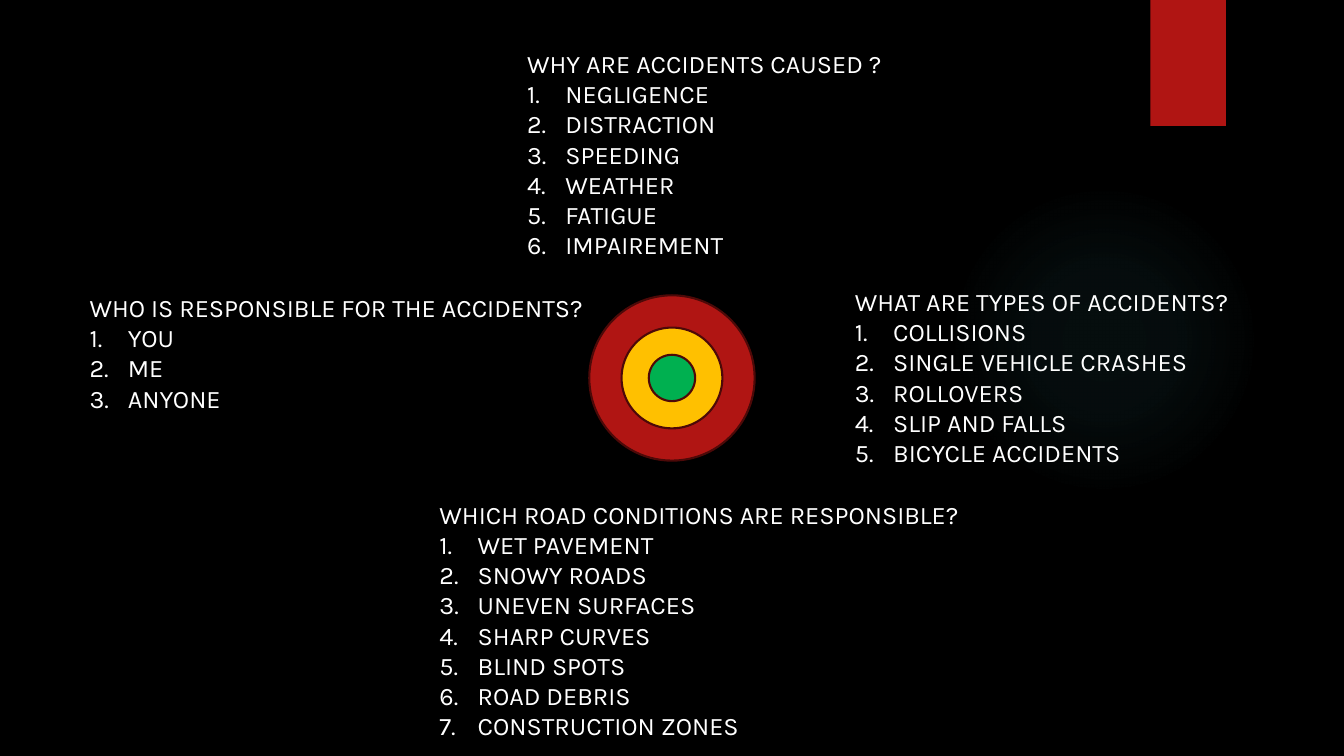
from lxml.etree import SubElement
from pptx import Presentation
from pptx.dml.color import RGBColor
from pptx.enum.shapes import MSO_SHAPE as Preset
from pptx.enum.text import MSO_AUTO_SIZE as AutoSize
from pptx.oxml.ns import qn
from pptx.util import Inches, Pt

WIDTH, HEIGHT = 13.33, 7.5
LINE_HEIGHT = 0.303
INDENT = Inches(0.38)

TOPICS = [
    (5.13, 0.43, 3.87, "WHY ARE ACCIDENTS CAUSED ?",
     ["NEGLIGENCE", "DISTRACTION", "SPEEDING", "WEATHER", "FATIGUE", "IMPAIREMENT"]),
    (8.38, 2.79, 4.22, "WHAT ARE TYPES OF ACCIDENTS?",
     ["COLLISIONS", "SINGLE VEHICLE CRASHES", "ROLLOVERS", "SLIP AND FALLS",
      "BICYCLE ACCIDENTS"]),
    (4.26, 4.9, 5.81, "WHICH ROAD CONDITIONS ARE RESPONSIBLE?",
     ["WET PAVEMENT", "SNOWY ROADS", "UNEVEN SURFACES", "SHARP CURVES", "BLIND SPOTS",
      "ROAD DEBRIS", "CONSTRUCTION ZONES"]),
    (0.79, 2.85, 5.38, "WHO IS RESPONSIBLE FOR THE ACCIDENTS?",
     ["YOU", "ME", "ANYONE"]),
]
RINGS = [(1.64, "B01513"), (1, "FFC000"), (0.46, "00B050")]


def color(value):
    return RGBColor.from_string(value)


class SlideBuilder:
    font = "Karla"
    size = 18
    text_color = "FFFFFF"
    outline = "4D0908"

    def __init__(self, page, background):
        self.page = page
        page.background.fill.solid()
        page.background.fill.fore_color.rgb = color(background)

    def shape(self, preset, left, top, width, height, fill, line=None):
        shape = self.page.shapes.add_shape(
            preset, Inches(left), Inches(top), Inches(width), Inches(height))
        shape.shadow.inherit = False
        shape.fill.solid()
        shape.fill.fore_color.rgb = color(fill)
        if line:
            shape.line.color.rgb = color(line)
            shape.line.width = Pt(1.5)
        else:
            shape.line.fill.background()
        return shape

    def ring(self, diameter, fill):
        self.shape(Preset.OVAL, (WIDTH - diameter) / 2, (HEIGHT - diameter) / 2,
                   diameter, diameter, fill, self.outline)

    def glow(self, left, top, diameter, tint, stops):
        shape = self.shape(Preset.OVAL, left, top, diameter, diameter, tint)
        solid = shape.fill._xPr.find(qn("a:solidFill"))
        gradient = solid.makeelement(qn("a:gradFill"), {"rotWithShape": "1"})
        stop_list = SubElement(gradient, qn("a:gsLst"))
        for position, opacity in stops:
            stop = SubElement(stop_list, qn("a:gs"), pos=str(position * 1000))
            shade = SubElement(stop, qn("a:srgbClr"), val=tint)
            SubElement(shade, qn("a:alpha"), val=str(opacity * 1000))
        circle = SubElement(gradient, qn("a:path"), path="circle")
        SubElement(circle, qn("a:fillToRect"),
                   {side: "50000" for side in ("l", "t", "r", "b")})
        solid.getparent().replace(solid, gradient)

    def span(self, para, text):
        span = para.add_run()
        span.text = text
        span.font.name = self.font
        span.font.size = Pt(self.size)
        span.font.color.rgb = color(self.text_color)

    def topic(self, left, top, width, heading, answers):
        height = 0.1 + LINE_HEIGHT * (len(answers) + 1)
        box = self.page.shapes.add_textbox(
            Inches(left), Inches(top), Inches(width), Inches(height))
        frame = box.text_frame
        frame.word_wrap = True
        frame.auto_size = AutoSize.SHAPE_TO_FIT_TEXT
        self.span(frame.paragraphs[0], heading)
        for answer in answers:
            para = frame.add_paragraph()
            properties = para._p.get_or_add_pPr()
            properties.set("marL", str(INDENT))
            properties.set("indent", str(-INDENT))
            SubElement(properties, qn("a:buFont"), typeface="+mj-lt")
            SubElement(properties, qn("a:buAutoNum"), type="arabicPeriod")
            self.span(para, answer)


def main():
    deck = Presentation()
    deck.slide_width, deck.slide_height = Inches(WIDTH), Inches(HEIGHT)
    builder = SlideBuilder(deck.slides.add_slide(deck.slide_layouts[6]), "000000")
    builder.glow(9.41, 1.83, 3.08, "50B9C1", [(0, 7), (36, 6), (69, 0), (100, 0)])
    builder.shape(Preset.RECTANGLE, 11.41, 0, 0.75, 1.25, "B01513")
    for topic in TOPICS:
        builder.topic(*topic)
    for ring in RINGS:
        builder.ring(*ring)
    deck.save("out.pptx")


if __name__ == "__main__":
    main()
